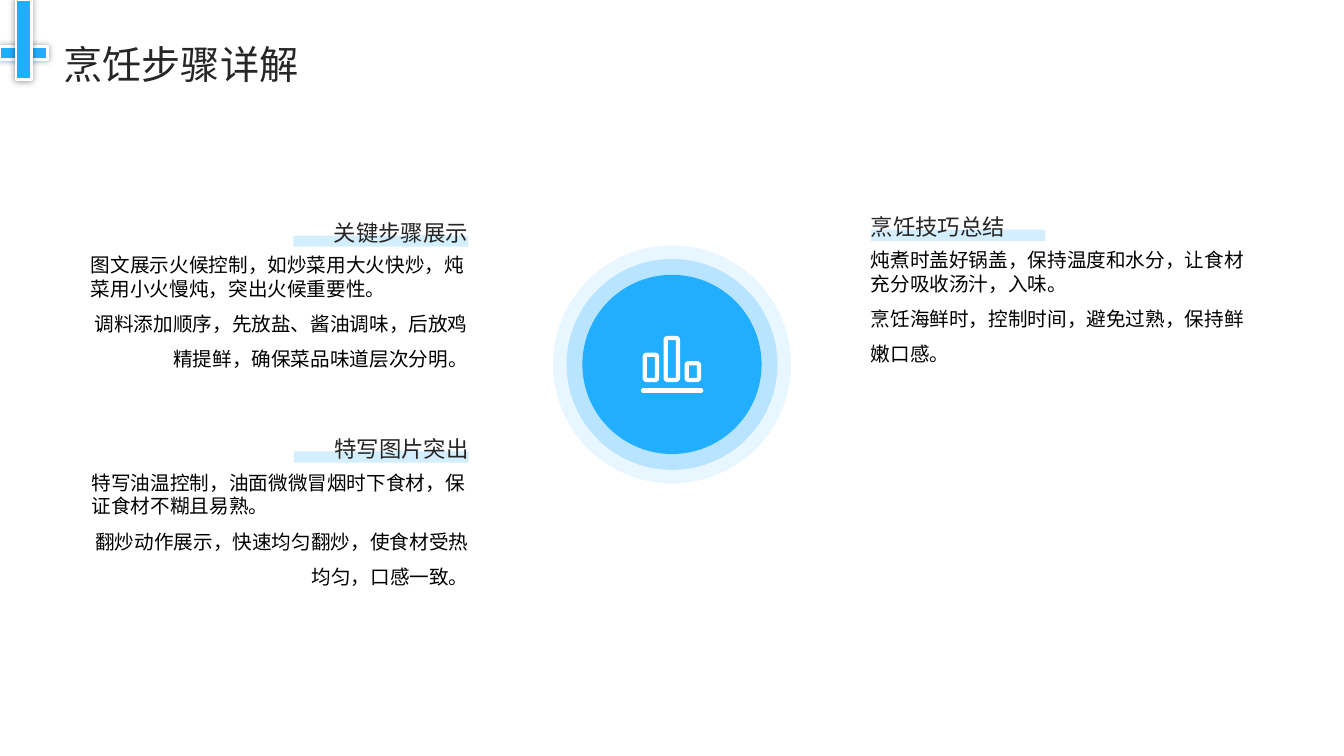
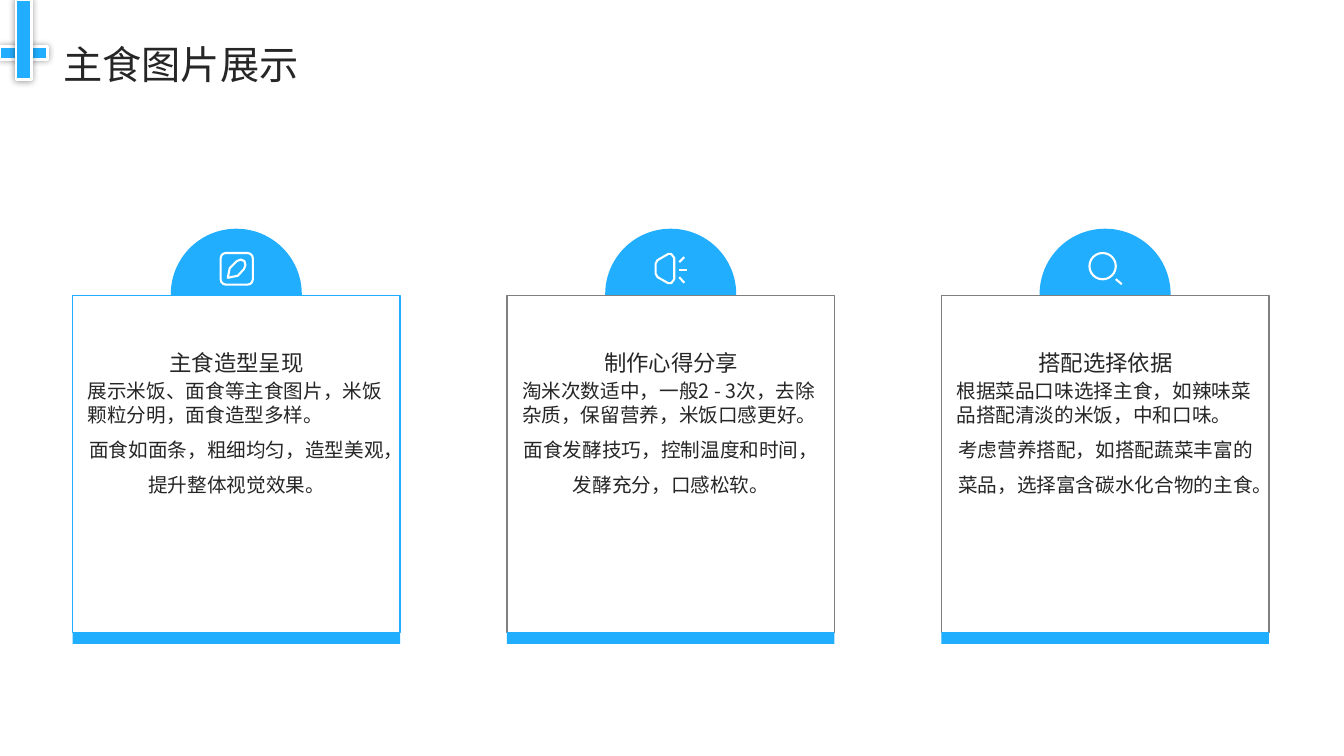
from lxml.etree import SubElement as Sub
from pptx import Presentation
from pptx.dml.color import RGBColor
from pptx.enum.shapes import MSO_CONNECTOR as Link, MSO_SHAPE as Kind
from pptx.enum.text import MSO_ANCHOR as Anchor, PP_ALIGN as Align
from pptx.oxml.ns import qn
from pptx.util import Pt

FONT = "Noto Sans CJK SC"
BLUE, PALE, WHITE = "22AEFF", "D3EFFF", "FFFFFF"
DARK, BLACK, GRAY = "262626", "000000", "7F7F7F"
rgb = RGBColor.from_string


def paint(shape, fill=None, line=None, width=1.5):
    shape.shadow.inherit = False
    if fill:
        shape.fill.solid()
        shape.fill.fore_color.rgb = rgb(fill)
    else:
        shape.fill.background()
    if line:
        shape.line.color.rgb = rgb(line)
        shape.line.width = Pt(width)
    else:
        shape.line.fill.background()
    return shape


def write(slide, box, rows, size, color, anchor=Anchor.TOP):
    frame = slide.shapes.add_textbox(*map(Pt, box)).text_frame
    frame.word_wrap = True
    frame.vertical_anchor = anchor
    frame.margin_left = frame.margin_right = 0
    frame.margin_top = frame.margin_bottom = 0
    for i, (text, align, space) in enumerate(rows):
        para = frame.add_paragraph() if i else frame.paragraphs[0]
        para.text = text
        para.alignment = align
        para.line_spacing = space
        font = para.font
        font.size = Pt(size)
        font.color.rgb = rgb(color)
        font.name = FONT
        Sub(font._rPr, qn("a:ea"), typeface=FONT)


deck = Presentation()
deck.slide_width, deck.slide_height = Pt(960), Pt(540)
slides = []
for title in ("烹饪步骤详解", "主食图片展示"):
    slide = deck.slides.add_slide(deck.slide_layouts[6])
    slides.append(slide)
    write(slide, (45.4, 18.7, 817, 42.5), [(title, Align.LEFT, 1.3)], 28, DARK)
    for box in ((0, 33.2, 34, 9.4), (11.5, 0, 11, 57)):
        bar = paint(slide.shapes.add_shape(Kind.RECTANGLE, *map(Pt, box)), BLUE, WHITE, 2)
        glow = Sub(bar._element.spPr.find(qn("a:effectLst")), qn("a:outerShdw"),
                   blurRad=str(Pt(5)), dist="0", dir="0", algn="ctr", rotWithShape="0")
        tint = Sub(glow, qn("a:srgbClr"), val=BLACK)
        Sub(tint, qn("a:alpha"), val="40000")

steps, cards = slides

topics = [
    (65, 141.8, 180.7, Align.RIGHT, "关键步骤展示",
     "图文展示火候控制，如炒菜用大火快炒，炖菜用小火慢炖，突出火候重要性。",
     "调料添加顺序，先放盐、酱油调味，后放鸡精提鲜，确保菜品味道层次分明。"),
    (65.5, 296, 336.3, Align.RIGHT, "特写图片突出",
     "特写油温控制，油面微微冒烟时下食材，保证食材不糊且易熟。",
     "翻炒动作展示，快速均匀翻炒，使食材受热均匀，口感一致。"),
    (622, 137.6, 177.3, Align.LEFT, "烹饪技巧总结",
     "炖煮时盖好锅盖，保持温度和水分，让食材充分吸收汤汁，入味。",
     "烹饪海鲜时，控制时间，避免过熟，保持鲜嫩口感。"),
]
for left, top, low, align, head, lead, tail in topics:
    start = left + 144.5 if align == Align.RIGHT else left
    box = start, top + 26.5, 124.8, 7.9
    paint(steps.shapes.add_shape(Kind.RECTANGLE, *map(Pt, box)), PALE)
    write(steps, (left, low, 269.3, 108.7),
          [(lead, Align.LEFT, 1), (tail, align, 1.5)], 14, BLACK)
    write(steps, (left, top, 269.3, 33.8), [(head, align, 1.5)], 16, DARK, Anchor.BOTTOM)

for size, alpha in ((170, 10), (150.6, 24), (128, 100)):
    box = 480 - size / 2, 260.3 - size / 2, size, size
    disc = paint(steps.shapes.add_shape(Kind.OVAL, *map(Pt, box)), BLUE)
    if alpha < 100:
        tint = disc._element.spPr.find(".//" + qn("a:srgbClr"))
        Sub(tint, qn("a:alpha"), val=str(alpha * 1000))

for left, top in ((460.6, 253.4), (475.5, 241.4), (490.5, 259.4)):
    box = left, top, 8.8, 271.4 - top
    bar = paint(steps.shapes.add_shape(Kind.ROUNDED_RECTANGLE, *map(Pt, box)), None, WHITE, 3)
    bar.adjustments[0] = 0.15
base = steps.shapes.add_shape(Kind.ROUNDED_RECTANGLE, Pt(457.8), Pt(277.2), Pt(44.6), Pt(3.5))
paint(base, WHITE).adjustments[0] = 0.5

panels = [
    (BLUE, "主食造型呈现",
     "展示米饭、面食等主食图片，米饭颗粒分明，面食造型多样。",
     "面食如面条，粗细均匀，造型美观，提升整体视觉效果。",
     [(Kind.ROUNDED_RECTANGLE, (-11.2, 0.7, 23, 22.6))],
     [(-6.1, 18.4), (-4.7, 11.5), (0.4, 6.5), (3.2, 5.4),
      (5.8, 6.5), (6.5, 9.4), (5.4, 12.2), (1.1, 16.9)],
     []),
    (GRAY, "制作心得分享",
     "淘米次数适中，一般2 - 3次，去除杂质，保留营养，米饭口感更好。",
     "面食发酵技巧，控制温度和时间，发酵充分，口感松软。",
     [],
     [(-10.8, 8.3), (-9.4, 5.8), (-1.8, 1.4), (0.4, 1.4), (2.5, 4.3),
      (2.5, 19.4), (0.4, 22.3), (-1.8, 22.3), (-9.4, 18), (-10.8, 15.5)],
     [(6.1, 7.2, 9.7, 3.6), (6.1, 13, 11.9, 13), (6.1, 18, 9.7, 22)]),
    (GRAY, "搭配选择依据",
     "根据菜品口味选择主食，如辣味菜品搭配清淡的米饭，中和口味。",
     "考虑营养搭配，如搭配蔬菜丰富的菜品，选择富含碳水化合物的主食。",
     [(Kind.OVAL, (-11.2, 0.7, 18.8, 18.8))],
     [],
     [(7.6, 19.4, 11.9, 23)]),
]
for i, (edge, head, lead, tail, forms, path, rays) in enumerate(panels):
    left = 51.8 + 310.3 * i
    mid, high = left + 117, 180
    for kind, box, fill, line in (
            (Kind.OVAL, (mid - 46.8, 163.4, 93.6, 93.6), BLUE, None),
            (Kind.RECTANGLE, (left, 211, 234, 241), WHITE, edge),
            (Kind.RECTANGLE, (left, 451.5, 234, 8.4), BLUE, None)):
        paint(cards.shapes.add_shape(kind, *map(Pt, box)), fill, line, 1)
    write(cards, (left + 10.8, 270.7, 213, 165.5),
          [(lead, Align.LEFT, 1), (tail, Align.CENTER, 1.5)], 14, DARK)
    write(cards, (left + 10.8, 238.3, 213, 30), [(head, Align.CENTER, 1.3)],
          16, DARK, Anchor.BOTTOM)
    for kind, (x, y, wide, tall) in forms:
        box = mid + x, high + y, wide, tall
        paint(cards.shapes.add_shape(kind, *map(Pt, box)), None, WHITE)
    if path:
        spots = [(Pt(mid + x), Pt(high + y)) for x, y in path]
        pen = cards.shapes.build_freeform(*spots[0])
        pen.add_line_segments(spots[1:])
        paint(pen.convert_to_shape(), None, WHITE)
    for x, y, far, end in rays:
        ends = mid + x, high + y, mid + far, high + end
        ray = cards.shapes.add_connector(Link.STRAIGHT, *map(Pt, ends))
        ray.line.color.rgb = rgb(WHITE)
        ray.line.width = Pt(1.5)
        Sub(ray._element.spPr, qn("a:effectLst"))

deck.save("out.pptx")
